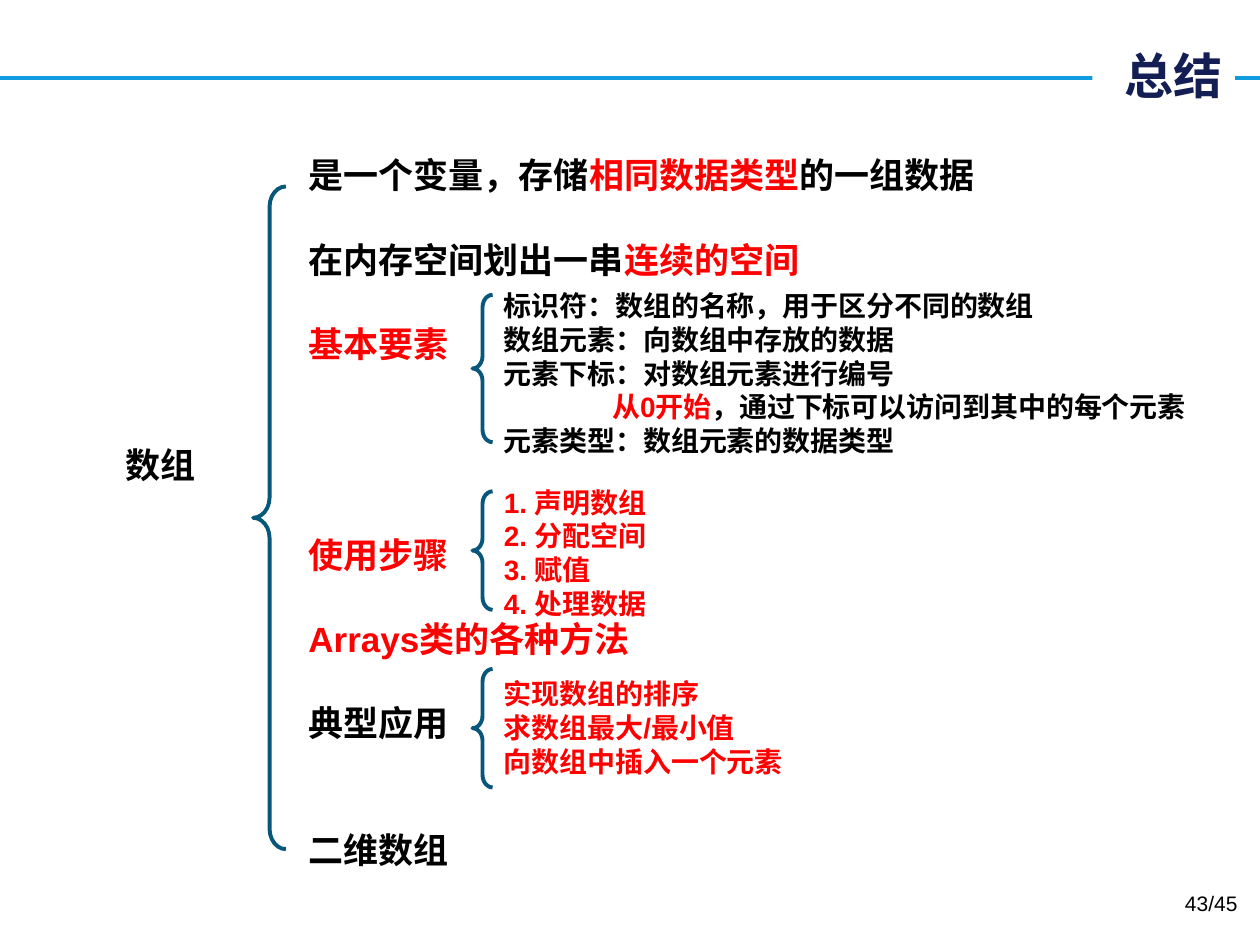
from typing import NamedTuple

from lxml import etree
from pptx import Presentation
from pptx import util as u
from pptx.dml.color import RGBColor
from pptx.enum import shapes, text
from pptx.oxml.ns import qn

COLORS = {
    "black": "000000",
    "red": "FF0000",
    "navy": "121E54",
    "brace": "08577A",
    "rule": "0E9CDE",
    "white": "FFFFFF",
}
LINE_RATIO = 1.205
TOPIC_SIZE = 20
DETAIL_SIZE = 16


class Run(NamedTuple):
    text: str
    color: str = "black"


class Line(NamedTuple):
    runs: list[Run]
    gap_lines: int = 0
    indent: float = 0


class Box(NamedTuple):
    left: float
    top: float
    width: float
    height: float


class Block(NamedTuple):
    box: Box
    lines: list[Line]
    size: int = DETAIL_SIZE
    align: text.PP_ALIGN = text.PP_ALIGN.LEFT
    bold: bool = True


def black(words: str, gap_lines: int = 0) -> Line:
    return Line([Run(words)], gap_lines)


def red(words: str, gap_lines: int = 0) -> Line:
    return Line([Run(words, "red")], gap_lines)


BLOCKS = [
    Block(Box(2.35, 1.17, 6.63, 6.16), [
        Line([Run("是一个变量，存储"), Run("相同数据类型", "red"), Run("的一组数据")]),
        Line([Run("在内存空间划出一串"), Run("连续的空间", "red")], 1),
        red("基本要素", 1),
        red("使用步骤", 4),
        red("Arrays类的各种方法", 1),
        black("典型应用", 1),
        black("二维数组", 2),
    ], TOPIC_SIZE),
    Block(Box(0.28, 3.47, 1.99, 0.44), [black("数组")], TOPIC_SIZE, text.PP_ALIGN.CENTER),
    Block(Box(3.9, 2.24, 6.1, 1.45), [
        black("标识符：数组的名称，用于区分不同的数组"),
        black("数组元素：向数组中存放的数据"),
        black("元素下标：对数组元素进行编号"),
        Line([Run("从0开始", "red"), Run("，通过下标可以访问到其中的每个元素")], indent=0.86),
        black("元素类型：数组元素的数据类型"),
    ]),
    Block(Box(3.9, 3.8, 2.12, 1.18), [
        red(f"{number}. {step}")
        for number, step in enumerate(["声明数组", "分配空间", "赋值", "处理数据"], 1)
    ]),
    Block(Box(3.9, 5.32, 2.81, 0.91), [
        red("实现数组的排序"),
        red("求数组最大/最小值"),
        red("向数组中插入一个元素"),
    ]),
    Block(Box(7.59, 7.02, 2.33, 0.4), [black("43/45")], 12, text.PP_ALIGN.RIGHT, False),
]

BRACES = [
    Box(2.01, 1.48, 0.26, 5.26),
    Box(3.75, 2.34, 0.16, 1.17),
    Box(3.75, 3.9, 0.16, 0.94),
    Box(3.75, 5.31, 0.16, 0.94),
]


def rgb(name: str) -> RGBColor:
    return RGBColor.from_string(COLORS[name])


def inches(box: Box) -> list[u.Length]:
    return [u.Inches(value) for value in box]


def add_run(paragraph, run: Run, size: int, bold: bool, font_name: str = "Arial") -> None:
    piece = paragraph.add_run()
    piece.text = run.text
    font = piece.font
    font.name, font.size, font.bold = font_name, u.Pt(size), bold
    font.color.rgb = rgb(run.color)
    latin = piece.font._element.find(qn("a:latin"))
    east_asian = etree.Element(qn("a:ea"), typeface=font_name)
    latin.addnext(east_asian)


def add_block(slide, block: Block) -> None:
    frame = slide.shapes.add_textbox(*inches(block.box)).text_frame
    frame.word_wrap = True
    pitch = block.size * LINE_RATIO
    for index, line in enumerate(block.lines):
        paragraph = frame.add_paragraph() if index else frame.paragraphs[0]
        paragraph.alignment = block.align
        paragraph.line_spacing = u.Pt(pitch)
        paragraph.space_before = u.Pt(pitch * line.gap_lines)
        if line.indent:
            paragraph._p.get_or_add_pPr().set("marL", str(u.Inches(line.indent)))
        for run in line.runs:
            add_run(paragraph, run, block.size, block.bold)


def add_brace(slide, box: Box) -> None:
    brace = slide.shapes.add_shape(shapes.MSO_SHAPE.LEFT_BRACE, *inches(box))
    brace.adjustments[0] = 0.62
    brace.shadow.inherit = False
    brace.fill.background()
    brace.line.color.rgb = rgb("brace")
    brace.line.width = u.Pt(2.25)


def add_header_rule(slide) -> None:
    height = u.Inches(0.62)
    rule = slide.shapes.add_connector(
        shapes.MSO_CONNECTOR.STRAIGHT, 0, height, u.Inches(10), height)
    rule.line.color.rgb = rgb("rule")
    rule.line.width = u.Pt(2.25)
    etree.SubElement(rule._element.spPr, qn("a:effectLst"))
    slide.shapes.title._element.addprevious(rule._element)


def format_title(slide) -> None:
    title = slide.shapes.title
    title.left, title.top, title.width, title.height = inches(Box(8.67, 0.31, 1.13, 0.57))
    title.fill.solid()
    title.fill.fore_color.rgb = rgb("white")
    frame = title.text_frame
    frame.word_wrap = True
    frame.auto_size = text.MSO_AUTO_SIZE.NONE
    frame.vertical_anchor = text.MSO_ANCHOR.MIDDLE
    paragraph = frame.paragraphs[0]
    paragraph.alignment = text.PP_ALIGN.RIGHT
    add_run(paragraph, Run("总结", "navy"), 28, True, "Noto Sans CJK SC")


def main() -> None:
    presentation = Presentation()
    presentation.slide_width = u.Inches(10)
    presentation.slide_height = u.Inches(7.5)
    slide = presentation.slides.add_slide(presentation.slide_layouts[5])
    format_title(slide)
    add_header_rule(slide)
    for box in BRACES:
        add_brace(slide, box)
    for block in BLOCKS:
        add_block(slide, block)
    presentation.save("out.pptx")


if __name__ == "__main__":
    main()
